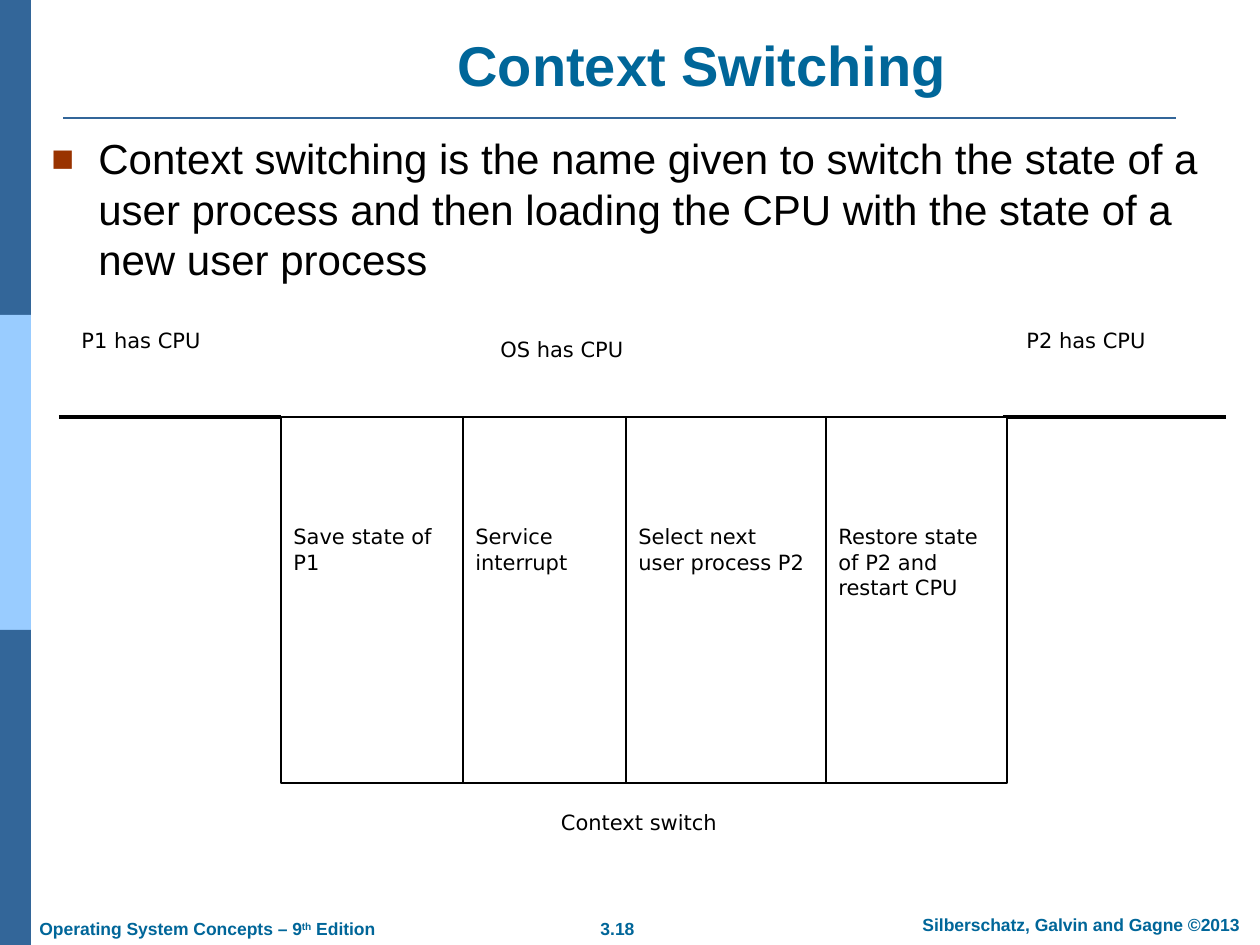
"""Build the Context Switching slide."""
from lxml import etree
from pptx import Presentation
from pptx.dml.color import RGBColor
from pptx.enum.shapes import MSO_CONNECTOR, MSO_SHAPE
from pptx.enum.text import MSO_ANCHOR, PP_ALIGN
from pptx.oxml.ns import qn
from pptx.util import Emu, Pt

RECT, LINE = MSO_SHAPE.RECTANGLE, MSO_CONNECTOR.STRAIGHT
LEFT, MID = PP_ALIGN.LEFT, PP_ALIGN.CENTER
TOP, BASE = MSO_ANCHOR.TOP, MSO_ANCHOR.BOTTOM
BLUE, SKY = RGBColor(0x33, 0x66, 0x99), RGBColor(0x99, 0xCC, 0xFF)
TEAL, RUST = RGBColor(0x00, 0x66, 0x99), "993300"
BLACK, WHITE = RGBColor(0, 0, 0), RGBColor(255, 255, 255)
PX = 914400 / 126

HEAD = {"name": "Arial", "size": Pt(32), "bold": True}
BODY = {"name": "Arial", "size": Pt(24)}
FOOT = {"name": "Arial", "size": Pt(10), "bold": True}
NOTE = {"name": "DejaVu Sans", "size": Pt(12)}

BANDS = [BLUE, SKY, BLUE]
TITLE = "Context Switching"
POINT = ("Context switching is the name given to switch the state of a user "
         "process and then loading the CPU with the state of a new user process")
FEET = [
    ((556, 912, 123, 33), MID, ["3.18"]),
    ((894, 908, 374, 34), MID, ["Silberschatz, Galvin and Gagne ©2013"]),
    ((27, 912, 400, 33), LEFT, ["Operating System Concepts – 9", "th", " Edition"]),
]
RULES = [(63, 1176, 118, BLUE, 1.5), (59, 281, 417, BLACK, 1.75),
         (1003, 1226, 417, BLACK, 1.75)]
STAGES = [(182, "Save state of P1"), (163, "Service interrupt"),
          (200, "Select next\nuser process P2"),
          (181, "Restore state of P2 and restart CPU")]
LABELS = [((69, 322, 210, 76), LEFT, "P1 has CPU"),
          ((488, 331, 210, 76), LEFT, "OS has CPU"),
          ((1014, 322, 210, 76), LEFT, "P2 has CPU"),
          ((286, 804, 706, 76), MID, "Context switch")]


def px(*nums):
    return [Emu(round(n * PX)) for n in nums]


def write(shape, lines, font, tint, align=LEFT, anchor=TOP, inset=6, wrap=True):
    frame = shape.text_frame
    frame.word_wrap = wrap
    frame.vertical_anchor = anchor
    frame.margin_top = px(inset)[0]
    for i, runs in enumerate(lines):
        para = frame.add_paragraph() if i else frame.paragraphs[0]
        para.alignment = align
        for text in runs:
            run = para.add_run()
            run.text = text
            run.font.color.rgb = tint
            for key, val in font.items():
                setattr(run.font, key, val)
    return frame


def block(slide, box, fill, edge=None):
    shape = slide.shapes.add_shape(RECT, *px(*box))
    shape.shadow.inherit = False
    shape.fill.solid()
    shape.fill.fore_color.rgb = fill
    if edge is None:
        shape.line.fill.background()
    else:
        shape.line.color.rgb = edge
        shape.line.width = Pt(0.75)
    return shape


def rule(slide, x1, x2, y, tint, width):
    line = slide.shapes.add_connector(LINE, *px(x1, y, x2, y))
    line.line.color.rgb = tint
    line.line.width = Pt(width)
    etree.SubElement(line._element.spPr, qn("a:effectLst"))


def bullet(para, indent):
    props = para._p.get_or_add_pPr()
    props.set("marL", str(indent))
    props.set("indent", str(-indent))
    tint = etree.SubElement(props, qn("a:buClr"))
    etree.SubElement(tint, qn("a:srgbClr"), val=RUST)
    etree.SubElement(props, qn("a:buSzPct"), val="90000")
    etree.SubElement(props, qn("a:buFont"), typeface="Arial")
    etree.SubElement(props, qn("a:buChar"), char="■")


def main():
    deck = Presentation()
    deck.slide_width, deck.slide_height = px(1260, 945)
    slide = deck.slides.add_slide(deck.slide_layouts[6])
    add_box = slide.shapes.add_textbox

    for i, tint in enumerate(BANDS):
        block(slide, (0, i * 315, 31, 315), tint)
    for item in RULES:
        rule(slide, *item)

    for box, align, runs in FEET:
        frame = write(add_box(*px(*box)), [runs], FOOT, TEAL, align, wrap=align == MID)
        for run in frame.paragraphs[0].runs:
            if run.text == "th":
                run.font._element.set("baseline", "30000")

    write(add_box(*px(135, 24, 1134, 80)), [[TITLE]], HEAD, TEAL, MID, BASE)
    frame = write(add_box(*px(39, 127, 1212, 695)), [[POINT]], BODY, BLACK)
    bullet(frame.paragraphs[0], px(47)[0])

    left = 281
    for width, text in STAGES:
        shape = block(slide, (left, 417, width, 366), WHITE, BLACK)
        lines = [[line] for line in text.split("\n")]
        write(shape, lines, NOTE, BLACK, inset=107)
        left += width
    for box, align, text in LABELS:
        write(block(slide, box, WHITE, WHITE), [[text]], NOTE, BLACK, align)

    deck.save("out.pptx")


if __name__ == "__main__":
    main()
